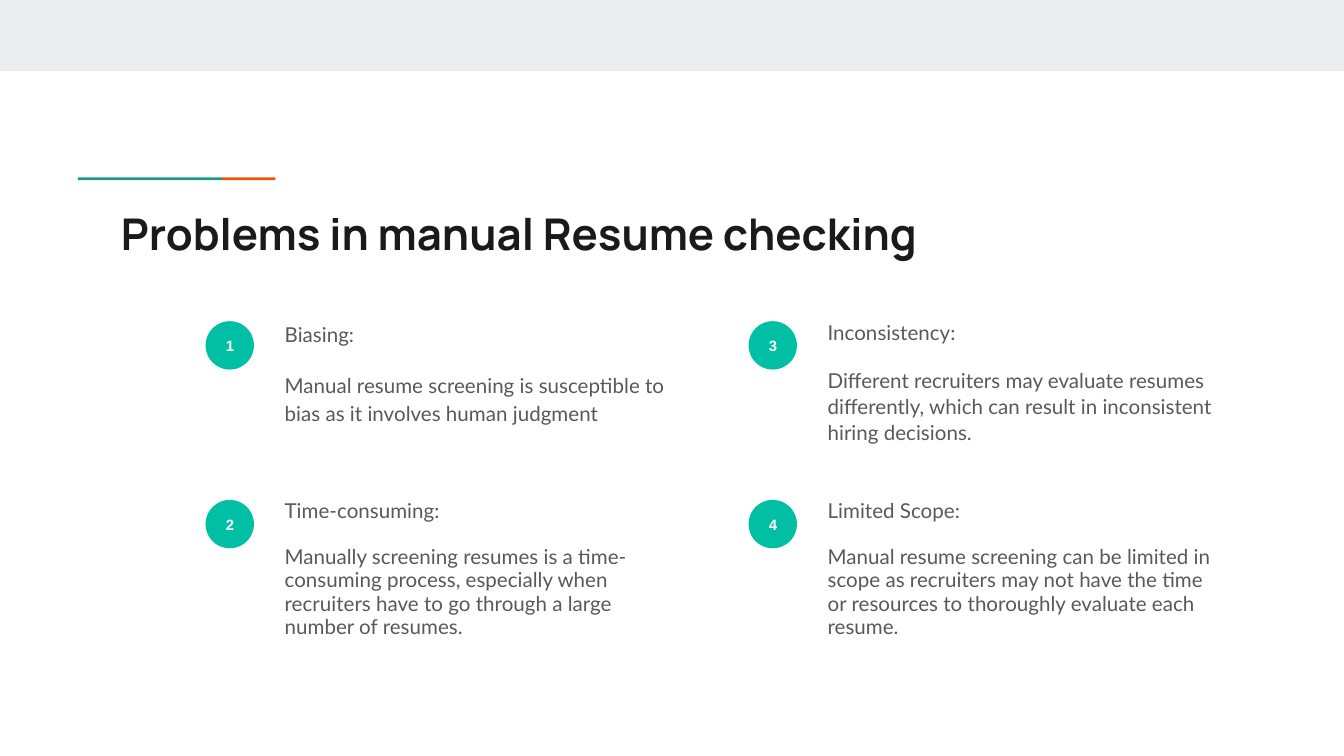
from pptx import Presentation
from pptx.dml.color import RGBColor
from pptx.enum.shapes import MSO_SHAPE
from pptx.enum.text import MSO_ANCHOR, MSO_AUTO_SIZE, PP_ALIGN
from pptx.util import Inches, Pt

RECT, OVAL = MSO_SHAPE.RECTANGLE, MSO_SHAPE.OVAL
TOP, MIDDLE = MSO_ANCHOR.TOP, MSO_ANCHOR.MIDDLE
LEFT, CENTER = PP_ALIGN.LEFT, PP_ALIGN.CENTER
NO_FIT = MSO_AUTO_SIZE.NONE

WHITE = RGBColor(0xFF, 0xFF, 0xFF)
BAND = RGBColor(0xE9, 0xED, 0xEE)
ORANGE = RGBColor(0xEB, 0x56, 0x00)
TEAL = RGBColor(0x1A, 0x99, 0x88)
GREEN = RGBColor(0x00, 0xBF, 0xA5)
INK = RGBColor(0x1A, 0x1A, 0x1A)
GREY = RGBColor(0x59, 0x59, 0x59)

# Widescreen 16:9
SLIDE_W = 10
SLIDE_H = SLIDE_W * 9 / 16
# Grid of problems: column lefts, and rows as (top, height, badge offset)
COLS = (1.53, 5.57)
ROWS = ((2.27, 1.15, 0.12), (3.62, 1.3, 0.1))
CELL_W, BADGE, TEXT_X = 3.59, 0.36, 0.49

# Heading, description and line spacing, column by column
PROBLEMS = (
    ("Biasing:",
     "Manual resume screening is susceptible to bias as it involves human "
     "judgment", 1.15),
    ("Time-consuming:",
     "Manually screening resumes is a time-consuming process, especially when "
     "recruiters have to go through a large number of resumes.", 0.95),
    ("Inconsistency:",
     "Different recruiters may evaluate resumes differently, which can result "
     "in inconsistent hiring decisions.", 1.05),
    ("Limited Scope:",
     "Manual resume screening can be limited in scope as recruiters may not "
     "have the time or resources to thoroughly evaluate each resume.", 0.95),
)


def add_shape(slide, kind, box, color):
    sp = slide.shapes.add_shape(kind, *map(Inches, box))
    sp.shadow.inherit = False
    sp.fill.solid()
    sp.fill.fore_color.rgb = color
    sp.line.fill.background()
    return sp


def format_frame(tf, anchor):
    tf.word_wrap = True
    tf.auto_size = NO_FIT
    tf.vertical_anchor = anchor
    tf.margin_left = tf.margin_right = Inches(0.1)
    tf.margin_top = tf.margin_bottom = Inches(0.1)


def format_text(p, name, size, color, bold=False, align=LEFT):
    p.alignment = align
    for r in p.runs:
        r.font.name = name
        r.font.size = Pt(size)
        r.font.bold = bold
        r.font.color.rgb = color


def add_accent(slide, box):
    """Two-colour rule above the title."""
    x, y, w, h = box
    split = 0.73 * w
    add_shape(slide, RECT, (x, y, split, h), TEAL)
    add_shape(slide, RECT, (x + split, y, w - split, h), ORANGE)


def add_title(slide, box, text):
    sp = slide.shapes.title
    sp.left, sp.top, sp.width, sp.height = map(Inches, box)
    tf = sp.text_frame
    tf.text = text
    format_frame(tf, TOP)
    format_text(tf.paragraphs[0], "Manrope", 23.4, INK, bold=True)


def add_problem(slide, box, badge_y, number, problem):
    """Numbered badge with a heading and a description beside it."""
    x, y, w, h = box
    heading, description, spacing = problem

    badge = add_shape(slide, OVAL, (x, y + badge_y, BADGE, BADGE), GREEN)
    tf = badge.text_frame
    tf.text = str(number)
    format_frame(tf, MIDDLE)
    format_text(tf.paragraphs[0], "Arial", 8, WHITE, bold=True, align=CENTER)

    text_box = (x + TEXT_X, y, w - TEXT_X, h)
    tf = slide.shapes.add_textbox(*map(Inches, text_box)).text_frame
    format_frame(tf, TOP)
    tf.text = heading
    p = tf.add_paragraph()
    p.text = description
    p.space_before = p.space_after = Pt(12)
    for p in tf.paragraphs:
        p.line_spacing = spacing
        format_text(p, "Lato", 11, GREY)


def main():
    prs = Presentation()
    prs.slide_width, prs.slide_height = Inches(SLIDE_W), Inches(SLIDE_H)
    slide = prs.slides.add_slide(prs.slide_layouts[5])
    slide.background.fill.solid()
    slide.background.fill.fore_color.rgb = WHITE

    # Header
    add_shape(slide, RECT, (0, 0, SLIDE_W, 0.53), BAND)
    add_accent(slide, (0.58, 1.32, 1.47, 0.02))
    add_title(slide, (0.8, 1.44, 8.41, 0.59),
              "Problems in manual Resume checking")

    # Problems, filled down each column
    for i, problem in enumerate(PROBLEMS):
        col, row = divmod(i, len(ROWS))
        top, height, badge_y = ROWS[row]
        add_problem(slide, (COLS[col], top, CELL_W, height), badge_y,
                    i + 1, problem)

    prs.save("out.pptx")


if __name__ == "__main__":
    main()
